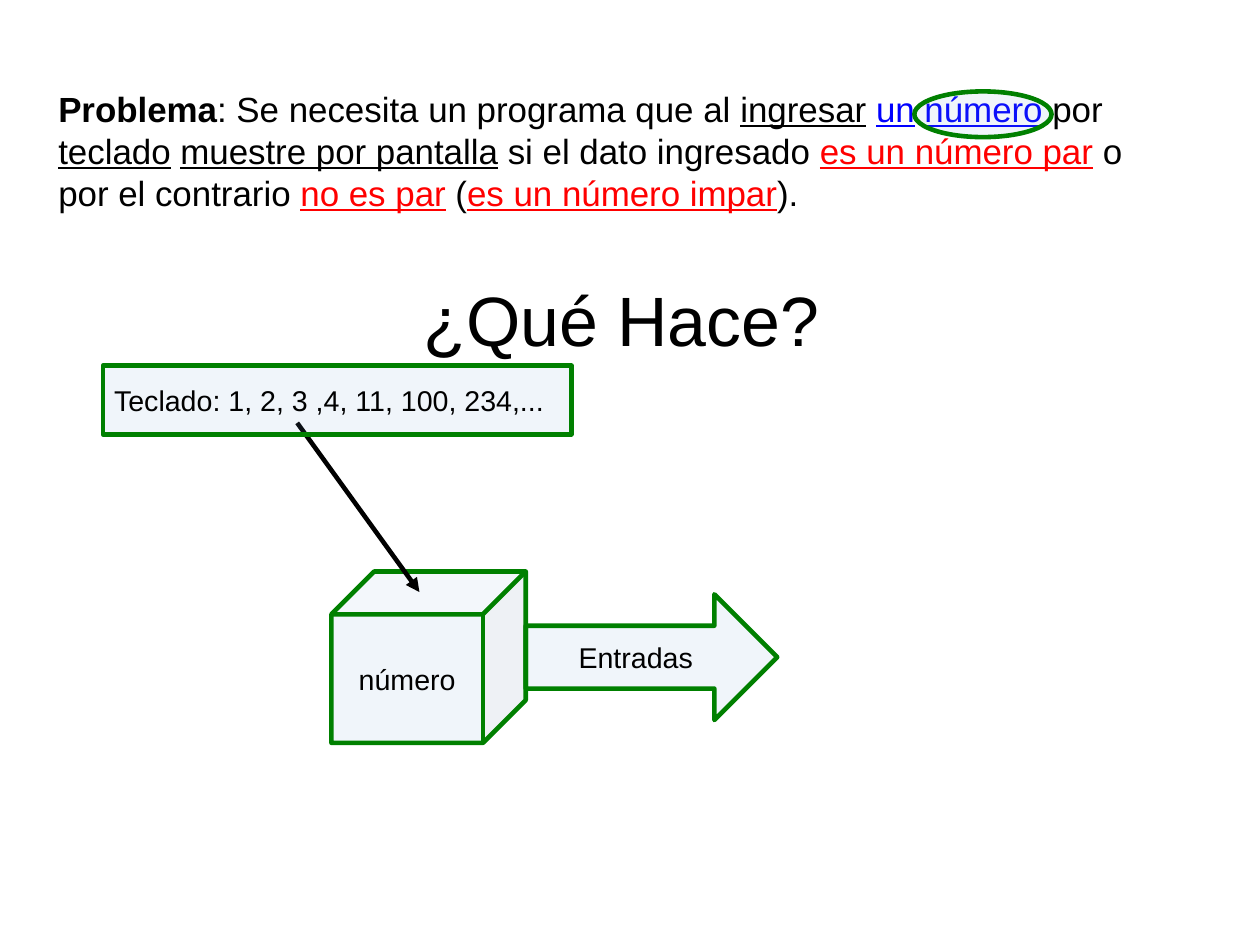
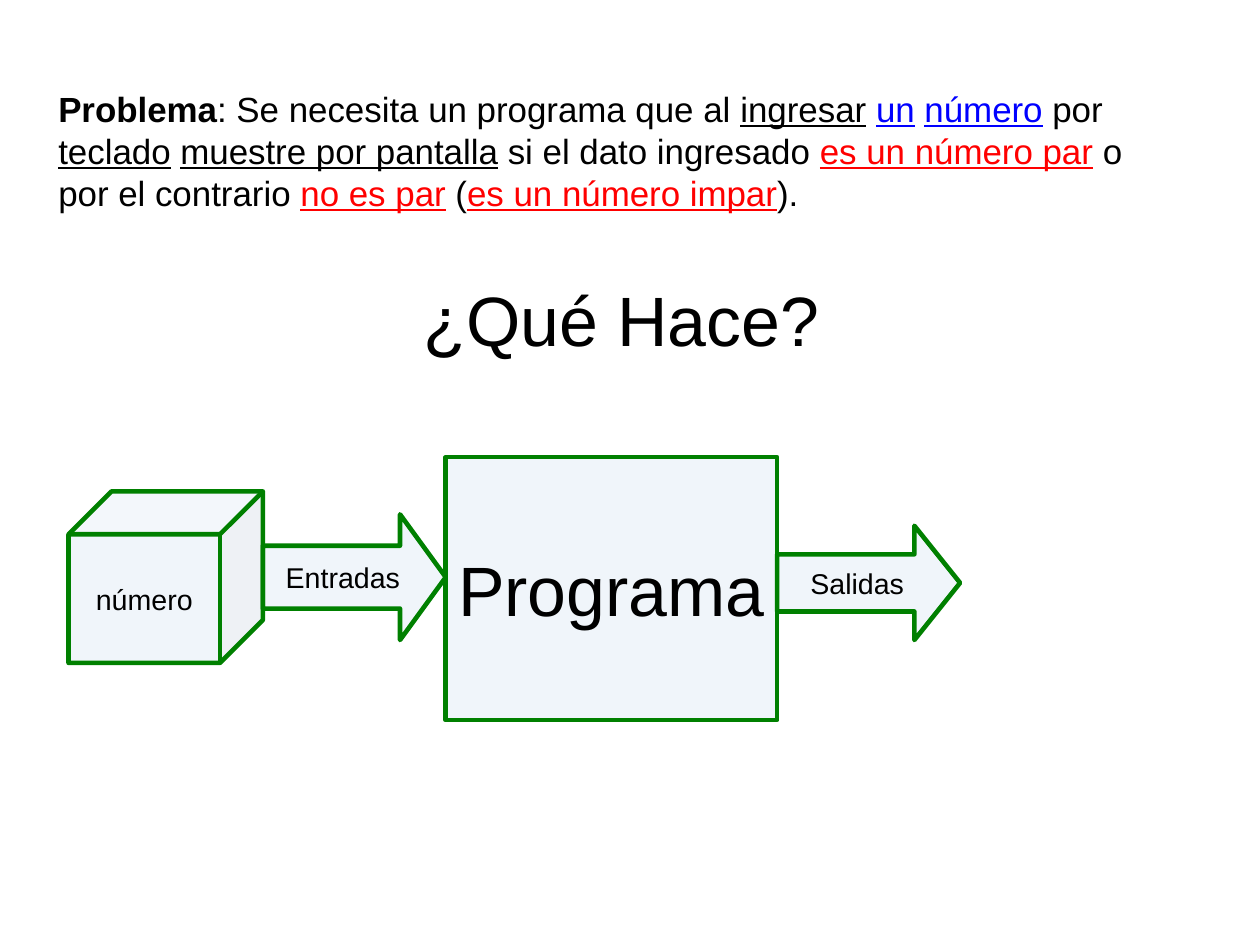
from dataclasses import dataclass

from lxml.etree import SubElement
from pptx import Presentation
from pptx.dml.color import RGBColor
from pptx.enum.shapes import MSO_CONNECTOR, MSO_SHAPE
from pptx.enum.text import MSO_ANCHOR, PP_ALIGN
from pptx.oxml.ns import qn
from pptx.util import Pt


@dataclass(frozen=True)
class Theme:
    font: str = "Arial"
    text: RGBColor = RGBColor(0x00, 0x00, 0x00)
    data: RGBColor = RGBColor(0x00, 0x00, 0xFF)
    result: RGBColor = RGBColor(0xFF, 0x00, 0x00)
    fill: RGBColor = RGBColor(0x72, 0x9F, 0xCF)
    outline: RGBColor = RGBColor(0x00, 0x80, 0x00)
    fill_opacity: int = 10
    line_width: float = 2.89
    title_size: int = 44
    statement_size: int = 22
    label_size: int = 18


THEME = Theme()
SLIDE_WIDTH, SLIDE_HEIGHT = 793.7, 595.28

PLAIN = {}
BOLD = {"bold": True}
ACTION = {"underline": True}
DATA = {"underline": True, "color": THEME.data}
RESULT = {"underline": True, "color": THEME.result}

STATEMENT = [
    ("Problema", BOLD),
    (": Se necesita un programa que al ", PLAIN),
    ("ingresar", ACTION),
    (" ", PLAIN),
    ("un", DATA),
    (" ", PLAIN),
    ("número", DATA),
    (" por ", PLAIN),
    ("teclado", ACTION),
    (" ", PLAIN),
    ("muestre por pantalla", ACTION),
    (" si el dato ingresado ", PLAIN),
    ("es un número par", RESULT),
    (" o por el contrario ", PLAIN),
    ("no es par", RESULT),
    (" (", PLAIN),
    ("es un número impar", RESULT),
    (").", PLAIN),
]


def format_run(run, size, color=THEME.text, bold=False, underline=False):
    run.font.name = THEME.font
    run.font.size = Pt(size)
    run.font.color.rgb = color
    run.font.bold = bold
    run.font.underline = underline


def add_text(slide, left, top, width, height, segments, size, alignment):
    box = slide.shapes.add_textbox(Pt(left), Pt(top), Pt(width), Pt(height))
    frame = box.text_frame
    frame.word_wrap = True
    frame.vertical_anchor = MSO_ANCHOR.MIDDLE
    frame.margin_left = frame.margin_right = Pt(0)
    frame.margin_top = frame.margin_bottom = Pt(0)
    paragraph = frame.paragraphs[0]
    paragraph.alignment = alignment
    for text, style in segments:
        run = paragraph.add_run()
        run.text = text
        format_run(run, size, **style)


def add_figure(slide, kind, left, top, width, height, label="",
               size=THEME.label_size, alignment=PP_ALIGN.CENTER):
    shape = slide.shapes.add_shape(kind, Pt(left), Pt(top), Pt(width), Pt(height))
    shape.shadow.inherit = False
    shape.fill.solid()
    shape.fill.fore_color.rgb = THEME.fill
    color = shape.fill._xPr.find(qn("a:solidFill"))[0]
    SubElement(color, qn("a:alpha"), val=str(THEME.fill_opacity * 1000))
    shape.line.color.rgb = THEME.outline
    shape.line.width = Pt(THEME.line_width)
    if label:
        frame = shape.text_frame
        frame.text = label
        frame.word_wrap = False
        frame.vertical_anchor = MSO_ANCHOR.MIDDLE
        paragraph = frame.paragraphs[0]
        paragraph.alignment = alignment
        format_run(paragraph.runs[0], size)
    return shape


def add_block_arrow(slide, left, top, width, height, head, label):
    arrow = add_figure(slide, MSO_SHAPE.RIGHT_ARROW, left, top, width, height, label)
    arrow.adjustments[0] = 0.5
    arrow.adjustments[1] = head / height


def add_number_cube(slide, left, top):
    add_figure(slide, MSO_SHAPE.CUBE, left, top, 122.4, 108, "número")


def add_arrow_line(slide, start, end):
    points = [Pt(value) for value in (*start, *end)]
    connector = slide.shapes.add_connector(MSO_CONNECTOR.STRAIGHT, *points)
    connector.line.color.rgb = THEME.text
    connector.line.width = Pt(THEME.line_width)
    SubElement(connector.line._get_or_add_ln(), qn("a:tailEnd"), type="triangle")
    SubElement(connector._element.spPr, qn("a:effectLst"))


def add_problem_slide(presentation):
    slide = presentation.slides.add_slide(presentation.slide_layouts[6])
    add_text(slide, 34.56, 150.8, 714.24, 99.36, [("¿Qué Hace?", PLAIN)],
             THEME.title_size, PP_ALIGN.CENTER)
    add_text(slide, 36.72, 50.4, 687.6, 88.56, STATEMENT,
             THEME.statement_size, PP_ALIGN.LEFT)
    return slide


def add_input_slide(presentation):
    slide = add_problem_slide(presentation)
    add_block_arrow(slide, 331.2, 374.4, 158.4, 79.2, 39.6, "Entradas")
    add_number_cube(slide, 208.8, 360)
    add_arrow_line(slide, (187.2, 266.4), (264.24, 372.96))
    add_figure(slide, MSO_SHAPE.RECTANGLE, 64.8, 230.4, 295.2, 43.2,
               "Teclado: 1, 2, 3 ,4, 11, 100, 234,...", alignment=PP_ALIGN.LEFT)
    add_figure(slide, MSO_SHAPE.OVAL, 576, 57.6, 86.4, 28.8)


def add_program_slide(presentation):
    slide = add_problem_slide(presentation)
    add_figure(slide, MSO_SHAPE.RECTANGLE, 280.8, 288, 208.8, 165.6,
               "Programa", THEME.title_size)
    add_block_arrow(slide, 165.6, 324, 115.2, 79.2, 28.8, "Entradas")
    add_number_cube(slide, 43.2, 309.6)
    add_block_arrow(slide, 489.6, 331.2, 115.2, 72, 28.8, "Salidas")


def main():
    presentation = Presentation()
    presentation.slide_width = Pt(SLIDE_WIDTH)
    presentation.slide_height = Pt(SLIDE_HEIGHT)
    add_input_slide(presentation)
    add_program_slide(presentation)
    presentation.save("out.pptx")


if __name__ == "__main__":
    main()
